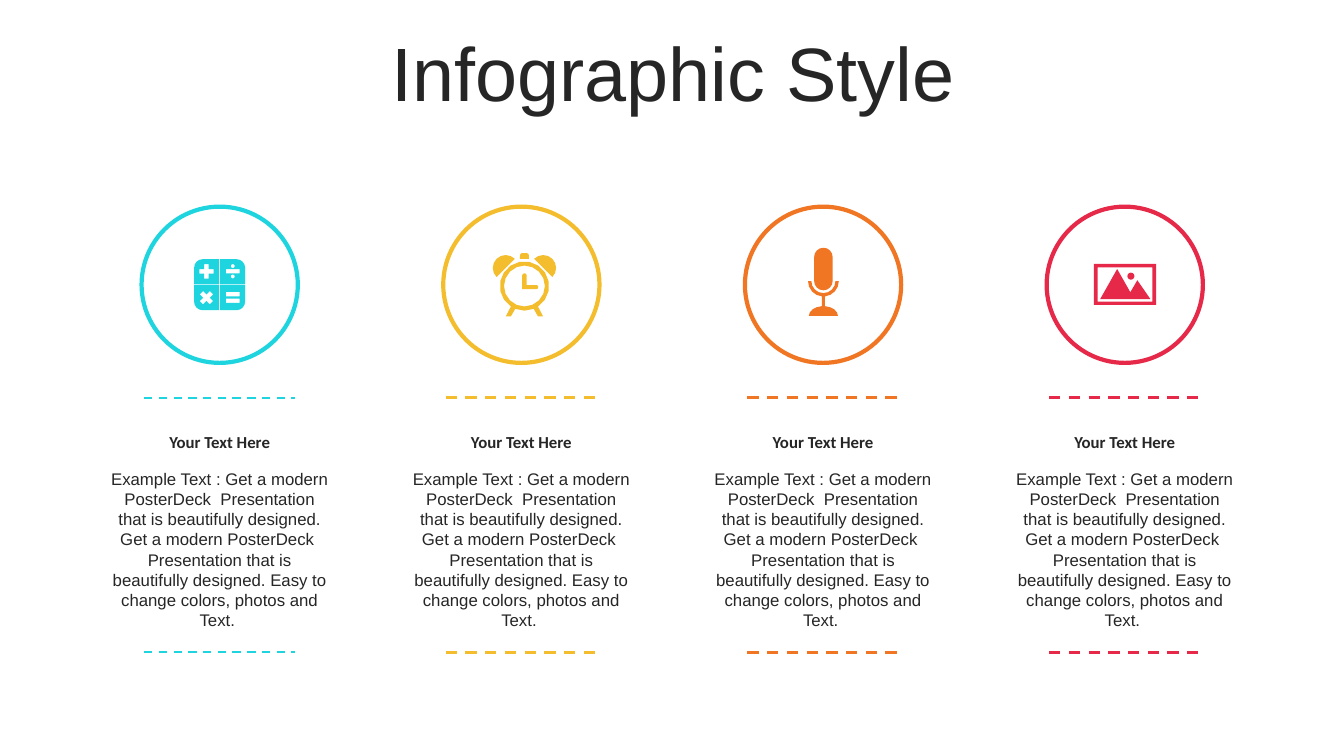
from math import cos, radians, sin

from lxml.etree import SubElement
from pptx import Presentation
from pptx.dml.color import RGBColor
from pptx.enum.dml import MSO_LINE
from pptx.enum.shapes import MSO_CONNECTOR, MSO_SHAPE
from pptx.enum.text import MSO_ANCHOR, PP_ALIGN
from pptx.oxml.ns import qn
from pptx.util import Pt

COLORS = {
    "text": "262626", "white": "FFFFFF", "cyan": "1ED4DE",
    "yellow": "F4BD2D", "orange": "F07624", "red": "E62949",
}
FIRST_CENTER, PITCH = 156.9, 215.5
ICON_Y, CIRCLE_SIZE = 203.4, 111.6
TEXT_WIDTH, LINE_WIDTH = 171.4, 108
HEADING = "Your Text Here"
SENTENCE = "Get a modern PosterDeck  Presentation that is beautifully designed. "
BODY = f"Example Text : {SENTENCE}{SENTENCE}Easy to change colors, photos and Text. "


def rgb(name):
    return RGBColor.from_string(COLORS[name])


def rect(x, y, w, h):
    return [(x, y), (x + w, y), (x + w, y + h), (x, y + h)]


def arc(cx, cy, r, start, end, ry=None):
    """Points along an arc; angles in degrees, clockwise from the right."""
    steps = max(2, round(abs(end - start) / 22.5))
    angles = [radians(start + (end - start) * i / steps) for i in range(steps + 1)]
    return [(cx + r * cos(a), cy + (ry or r) * sin(a)) for a in angles]


def circle(cx, cy, r):
    return arc(cx, cy, r, 0, 360)[:-1]


def cross(cx, cy, arm, half, turn=0):
    corners = [(half, -half), (arm, -half), (arm, half)]
    points = []
    for quarter in range(4):
        a = radians(turn + 90 * quarter)
        points += [(cx + x * cos(a) - y * sin(a), cy + x * sin(a) + y * cos(a))
                   for x, y in corners]
    return points


def calculator():
    key = [(0.3, 0.3), (18.2, 0.3), *arc(12.2, 12.2, 6, 0, 90), (0.3, 18.2)]
    keys = [[(sx * x, sy * y) for x, y in key] for sx in (-1, 1) for sy in (-1, 1)]
    bars = [rect(4.4, y, 10, 3.1) for y in (-11.1, 5.2, 9.9)]
    dots = [circle(9.4, y, 1.4) for y in (-13.3, -5.9)]
    return keys + bars + dots + [cross(-9.4, -9.5, 5.1, 1.6), cross(-9.4, 9.3, 5.1, 1.7, 45)]


def alarm_clock():
    leg = [(9.7, 21.7), (13.3, 21.7)]
    left_leg = [(-x, y) for x, y in leg]
    body = arc(0, 0, 17.6, 68, 112) + left_leg + arc(0, 0, 17.6, 123.4, 416.6) + leg[::-1]
    hands = [*arc(0, -7.4, 1.6, 180, 360), (1.6, -0.7),
             *arc(8.4, 0.75, 1.45, -90, 90), (-1.6, 2.2)]
    bell = arc(-13.4, -12.9, 9.2, -45, -225)
    knob = [(-3.2, -19.4), *arc(-1.4, -21.7, 1.8, 180, 270),
            *arc(1.4, -21.7, 1.8, 270, 360), (3.2, -19.4)]
    contours = [body, circle(0, 0, 14.6), hands, bell,
                [(-x, y) for x, y in bell], knob]
    return [[(x + 2.2, y + 0.9) for x, y in c] for c in contours]


def microphone():
    capsule = arc(0, -19.8, 6.6, 180, 360) + arc(0, -2.6, 6.6, 0, 180)
    stand = (arc(0, -2.6, 11, 0, 84) + arc(0, 22.3, 10.4, -84, 0, 7)
             + arc(0, 22.3, 10.4, 180, 264, 7) + arc(0, -2.6, 11, 96, 180)
             + arc(0, -2.6, 8.6, 180, 0))
    return [[(x + 0.3, y) for x, y in c] for c in (capsule, stand)]


def landscape():
    mountains = [(-5.4, -11.2), (4, 5.4), (9, -3.2), (18.4, 10.4), (-17.6, 10.4)]
    return [rect(-22.1, -14.8, 44.6, 29.2), rect(-19.4, -12.4, 39.2, 24.5),
            mountains, circle(4.4, -6.1, 2.5)]


def add_icon(s, cx, contours, color):
    """Draw the contours as one shape, in hundredths of a point from its centre."""
    contours = [[(x * 100, y * 100) for x, y in c] for c in contours]
    first, *rest = contours
    builder = s.shapes.build_freeform(*first[0], scale=Pt(1) / 100)
    builder.add_line_segments(first[1:])
    for contour in rest:
        builder.move_to(*contour[0])
        builder.add_line_segments(contour[1:])
    sp = builder.convert_to_shape(Pt(cx), Pt(ICON_Y))
    sp.shadow.inherit = False
    sp.fill.solid()
    sp.fill.fore_color.rgb = rgb(color)
    sp.line.fill.background()


def add_circle(s, cx, color):
    sp = s.shapes.add_shape(MSO_SHAPE.OVAL, Pt(cx - CIRCLE_SIZE / 2),
                            Pt(ICON_Y - CIRCLE_SIZE / 2), Pt(CIRCLE_SIZE), Pt(CIRCLE_SIZE))
    sp.shadow.inherit = False
    sp.fill.solid()
    sp.fill.fore_color.rgb = rgb("white")
    sp.line.color.rgb = rgb(color)
    sp.line.width = Pt(3)


def add_dashed_line(s, cx, y, color, width):
    line = s.shapes.add_connector(MSO_CONNECTOR.STRAIGHT, Pt(cx - LINE_WIDTH / 2), Pt(y),
                                  Pt(cx + LINE_WIDTH / 2), Pt(y))
    line.line.color.rgb = rgb(color)
    line.line.width = Pt(width)
    line.line.dash_style = MSO_LINE.DASH
    SubElement(line._element.spPr, qn("a:effectLst"))


def add_text(s, text, x, y, w, h, size, font="Arial", bold=False,
             anchor=MSO_ANCHOR.TOP, spacing=None):
    tf = s.shapes.add_textbox(Pt(x), Pt(y), Pt(w), Pt(h)).text_frame
    tf.word_wrap = True
    tf.vertical_anchor = anchor
    p = tf.paragraphs[0]
    p.alignment = PP_ALIGN.CENTER
    p.line_spacing = spacing
    r = p.add_run()
    r.text = text
    r.font.name = font
    r.font.size = Pt(size)
    r.font.bold = bold
    r.font.color.rgb = rgb("text")


def add_column(s, cx, color, contours, line_width):
    add_circle(s, cx, color)
    left = cx - TEXT_WIDTH / 2
    add_text(s, HEADING, left, 304.6, TEXT_WIDTH, 21.6, 12, "Calibri", bold=True)
    add_text(s, BODY, left, 331.2, TEXT_WIDTH, 123.8, 12)
    for y in (284.2, 465.8):
        add_dashed_line(s, cx, y, color, line_width)
    add_icon(s, cx, contours, color)


def main():
    prs = Presentation()
    prs.slide_width, prs.slide_height = Pt(960), Pt(540)
    s = prs.slides.add_slide(prs.slide_layouts[6])
    add_text(s, "Infographic Style", 25.2, 26.6, 911.5, 56.9, 54,
             anchor=MSO_ANCHOR.MIDDLE, spacing=0.9)
    columns = [("cyan", calculator(), 1.5), ("yellow", alarm_clock(), 2),
               ("orange", microphone(), 2), ("red", landscape(), 2)]
    for i, (color, contours, line_width) in enumerate(columns):
        add_column(s, FIRST_CENTER + i * PITCH, color, contours, line_width)
    prs.save("out.pptx")


if __name__ == "__main__":
    main()
